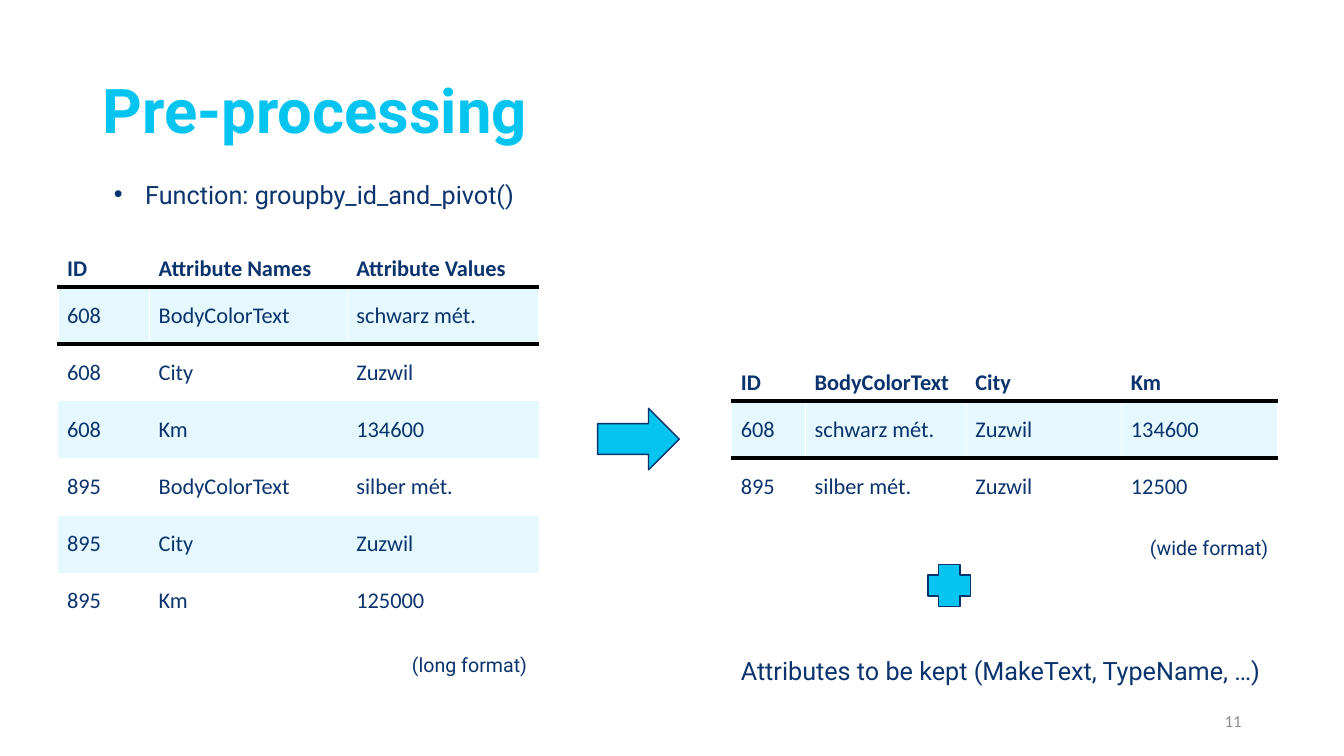
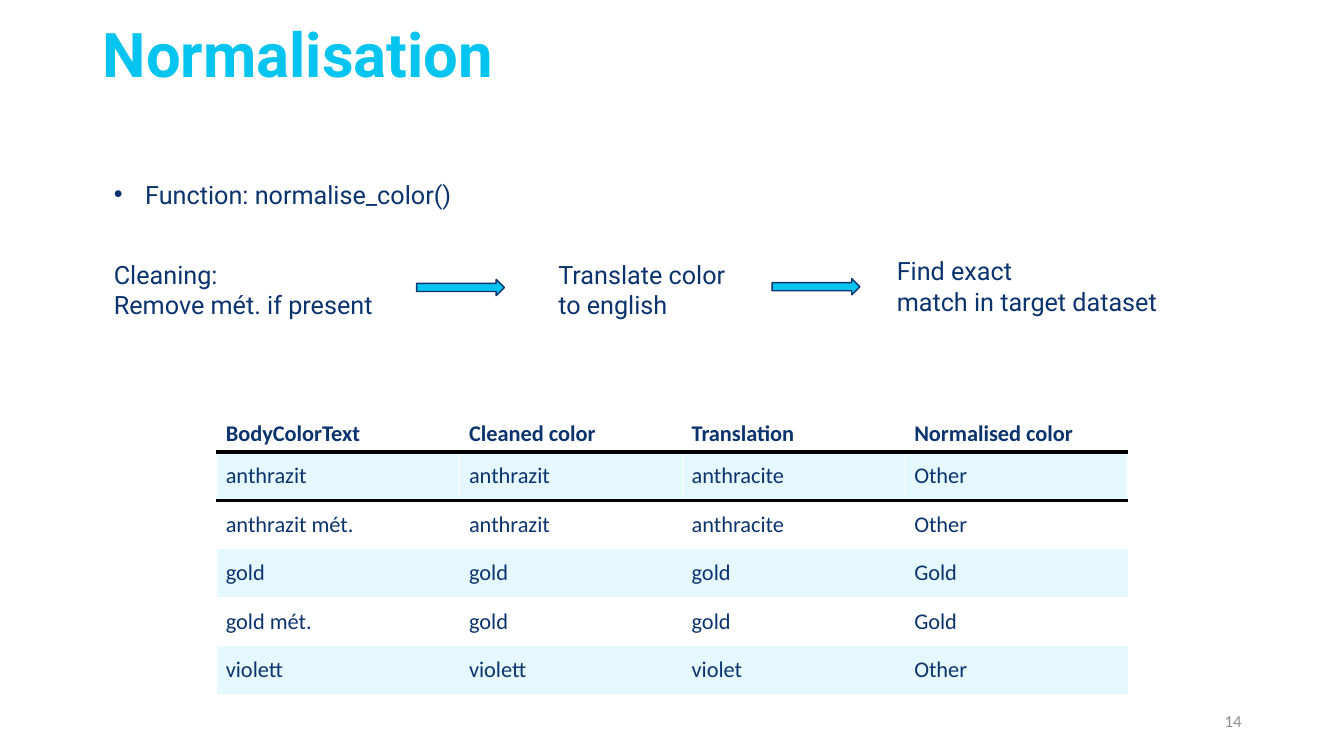
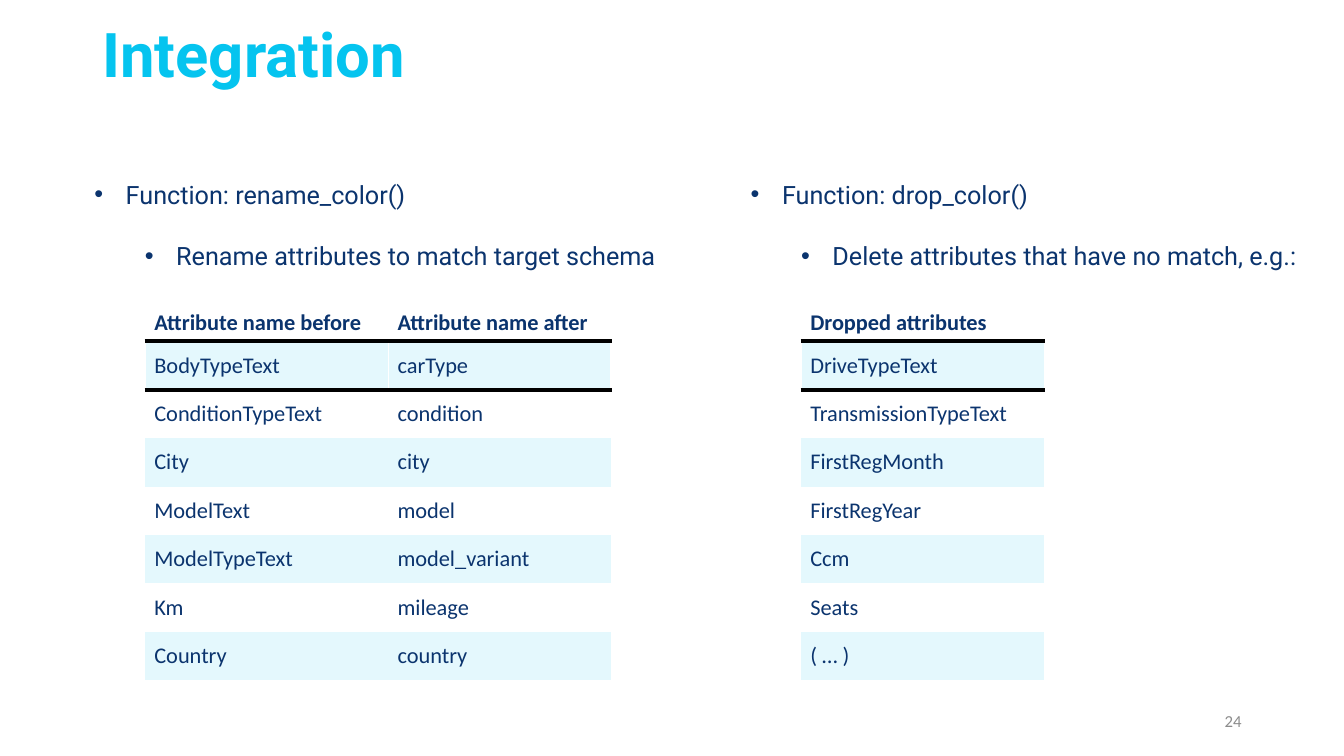
import pptx
import pptx.util
import pptx.dml.color
import pptx.enum.shapes
import pptx.enum.text
import pptx.oxml.ns
import lxml.etree

Cm = pptx.util.Cm
Pt = pptx.util.Pt
ANCHOR = pptx.enum.text.MSO_ANCHOR
ALIGN = pptx.enum.text.PP_ALIGN
AUTO_SIZE = pptx.enum.text.MSO_AUTO_SIZE
SHAPE = pptx.enum.shapes.MSO_SHAPE

CYAN, NAVY, PALE = "05C4EF", "0B346E", "E4F8FD"
WHITE, BLACK, GREY = "FFFFFF", "000000", "8C8C8C"
HEADING_FONT, TABLE_FONT = "Roboto", "Calibri"
HEADER_HEIGHT = 0.93
BULLET_INDENT = 0.79
NO_TABLE_STYLE = "{2D5ABB26-0587-4C30-8999-92F81FD0307C}"
ARROW, PLUS = SHAPE.RIGHT_ARROW, SHAPE.CROSS

SLIDES = [
    {
        "title": "Pre-processing", "title_top": 1.02, "title_anchor": ANCHOR.MIDDLE, "number": "11",
        "bullets": [(2.62, 29.21, ["Function: groupby_id_and_pivot()"])],
        "tables": [
            (1.46, 6.3, [2.31, 4.98, 4.83], 1.44, [
                ("ID", "Attribute Names", "Attribute Values"),
                ("608", "BodyColorText", "schwarz mét."),
                ("608", "City", "Zuzwil"),
                ("608", "Km", "134600"),
                ("895", "BodyColorText", "silber mét."),
                ("895", "City", "Zuzwil"),
                ("895", "Km", "125000"),
            ]),
            (18.44, 9.17, [1.86, 4.05, 3.92, 3.92], 1.44, [
                ("ID", "BodyColorText", "City", "Km"),
                ("608", "schwarz mét.", "Zuzwil", "134600"),
                ("895", "silber mét.", "Zuzwil", "12500"),
            ]),
        ],
        "labels": [
            (10.13, 16.33, 3.45, 0.86, 14, ["(long format)"]),
            (28.73, 13.39, 3.53, 0.86, 14, ["(wide format)"]),
            (18.42, 16.38, 13.74, 1.02, 18, ["Attributes to be kept (MakeText, TypeName, …)"]),
        ],
        "shapes": [(ARROW, 15.06, 10.29, 2.06, 1.55), (PLUS, 23.39, 14.22, 1.07, 1.07)],
    },
    {
        "title": "Normalisation", "title_top": 0.38, "title_anchor": ANCHOR.TOP, "number": "14",
        "bullets": [(2.62, 29.21, ["Function: normalise_color()"])],
        "tables": [
            (5.46, 10.46, [6.13, 5.61, 5.61, 5.61], 1.22, [
                ("BodyColorText", "Cleaned color", "Translation", "Normalised color"),
                ("anthrazit", "anthrazit", "anthracite", "Other"),
                ("anthrazit mét.", "anthrazit", "anthracite", "Other"),
                ("gold", "gold", "gold", "Gold"),
                ("gold mét.", "gold", "gold", "Gold"),
                ("violett", "violett", "violet", "Other"),
            ]),
        ],
        "labels": [
            (2.62, 6.4, 7.11, 1.8, 18, ["Cleaning:", "Remove mét. if present"]),
            (13.82, 6.4, 4.95, 1.8, 18, ["Translate color", "to english"]),
            (22.35, 6.32, 7.14, 1.8, 18, ["Find exact", "match in target dataset"]),
        ],
        "shapes": [(ARROW, 10.5, 7.04, 2.21, 0.41), (ARROW, 19.46, 7.02, 2.21, 0.41)],
    },
    {
        "title": "Integration", "title_top": 0.38, "title_anchor": ANCHOR.TOP, "number": "24",
        "bullets": [
            (2.13, 15.19, ["Function: rename_color()", "Rename attributes to match target schema"]),
            (18.67, 15.19, ["Function: drop_color()", "Delete attributes that have no match, e.g.:"]),
        ],
        "tables": [
            (3.66, 7.67, [6.13, 5.61], 1.22, [
                ("Attribute name before", "Attribute name after"),
                ("BodyTypeText", "carType"),
                ("ConditionTypeText", "condition"),
                ("City", "city"),
                ("ModelText", "model"),
                ("ModelTypeText", "model_variant"),
                ("Km", "mileage"),
                ("Country", "country"),
            ]),
            (20.19, 7.67, [6.13], 1.22, [
                ("Dropped attributes",),
                ("DriveTypeText",),
                ("TransmissionTypeText",),
                ("FirstRegMonth",),
                ("FirstRegYear",),
                ("Ccm",),
                ("Seats",),
                ("( … )",),
            ]),
        ],
        "labels": [],
        "shapes": [],
    },
]


def color(value):
    return pptx.dml.color.RGBColor.from_string(value)


def fill_solid(target, value):
    target.fill.solid()
    target.fill.fore_color.rgb = color(value)


def format_runs(paragraph, font_name, size, value, bold=False):
    for run in paragraph.runs:
        run.font.name = font_name
        run.font.size = Pt(size)
        run.font.bold = bold
        run.font.color.rgb = color(value)


def add_child(parent, tag, **attributes):
    return lxml.etree.SubElement(parent, pptx.oxml.ns.qn(tag), **attributes)


def add_title(slide, text, top, anchor):
    title = slide.shapes.title
    title.left, title.top, title.width, title.height = Cm(2.33), Cm(top), Cm(29.21), Cm(3.68)
    frame = title.text_frame
    frame.text = text
    frame.auto_size = AUTO_SIZE.NONE
    frame.vertical_anchor = anchor
    if anchor == ANCHOR.TOP:
        frame.margin_top = Cm(0.22)
    paragraph = frame.paragraphs[0]
    paragraph.alignment = ALIGN.LEFT
    paragraph.line_spacing = 0.9
    format_runs(paragraph, HEADING_FONT, 44, CYAN, True)


def add_text(slide, left, top, width, height, lines, size, wrap=False):
    box = slide.shapes.add_textbox(Cm(left), Cm(top), Cm(width), Cm(height))
    frame = box.text_frame
    frame.word_wrap = wrap
    frame.auto_size = AUTO_SIZE.SHAPE_TO_FIT_TEXT
    frame.text = "\n".join(lines)
    for paragraph in frame.paragraphs:
        format_runs(paragraph, HEADING_FONT, size, NAVY)
    return frame


def add_number(slide, number):
    frame = add_text(slide, 23.92, 17.66, 7.62, 1.01, [number], 12, True)
    frame.auto_size = AUTO_SIZE.NONE
    frame.vertical_anchor = ANCHOR.MIDDLE
    frame.paragraphs[0].alignment = ALIGN.RIGHT
    format_runs(frame.paragraphs[0], TABLE_FONT, 12, GREY)


def add_bullets(slide, left, width, lines):
    frame = add_text(slide, left, 4.39, width, 1.02 if len(lines) == 1 else 2.57, lines, 18, True)
    for level, paragraph in enumerate(frame.paragraphs):
        properties = paragraph._p.get_or_add_pPr()
        properties.set("marL", str(Cm(BULLET_INDENT + 1.27 * level)))
        properties.set("indent", str(-Cm(BULLET_INDENT)))
        add_child(properties, "a:buFont", typeface="Arial")
        add_child(properties, "a:buChar", char="•")
        paragraph.level = level
        if level:
            paragraph.space_before = Pt(22)


def add_border(cell, side, value, width):
    line = add_child(cell._tc.get_or_add_tcPr(), "a:ln" + side, w=str(Pt(width)))
    add_child(add_child(line, "a:solidFill"), "a:srgbClr", val=value)


def border_cell(cell, row):
    if row > 1:
        return
    add_border(cell, "L", WHITE, 1)
    add_border(cell, "R", WHITE, 1)
    if row == 0:
        add_border(cell, "T", WHITE, 1)
        add_border(cell, "B", BLACK, 3)
    else:
        add_border(cell, "T", BLACK, 3)


def add_table(slide, left, top, widths, row_height, rows):
    height = HEADER_HEIGHT + row_height * (len(rows) - 1)
    frame = slide.shapes.add_table(len(rows), len(widths), Cm(left), Cm(top), Cm(sum(widths)), Cm(height))
    table = frame.table
    table.horz_banding = False
    table._tbl.tblPr.find(pptx.oxml.ns.qn("a:tableStyleId")).text = NO_TABLE_STYLE
    for column, width in zip(table.columns, widths):
        column.width = Cm(width)
    for row, values in enumerate(rows):
        table.rows[row].height = Cm(row_height if row else HEADER_HEIGHT)
        for column, value in enumerate(values):
            cell = table.cell(row, column)
            cell.text = value
            cell.vertical_anchor = ANCHOR.MIDDLE
            cell.margin_left = cell.margin_right = Cm(0.23)
            cell.margin_top = cell.margin_bottom = Cm(0.11)
            border_cell(cell, row)
            fill_solid(cell, PALE if row % 2 else WHITE)
            format_runs(cell.text_frame.paragraphs[0], TABLE_FONT, 16, NAVY, row == 0)


def add_symbol(slide, kind, left, top, width, height):
    shape = slide.shapes.add_shape(kind, Cm(left), Cm(top), Cm(width), Cm(height))
    shape.shadow.inherit = False
    fill_solid(shape, CYAN)
    shape.line.color.rgb = color(NAVY)
    shape.line.width = Pt(1)


def main():
    presentation = pptx.Presentation()
    presentation.slide_width, presentation.slide_height = Cm(33.87), Cm(19.05)
    for content in SLIDES:
        slide = presentation.slides.add_slide(presentation.slide_layouts.get_by_name("Title Only"))
        add_title(slide, content["title"], content["title_top"], content["title_anchor"])
        add_number(slide, content["number"])
        for table in content["tables"]:
            add_table(slide, *table)
        for bullets in content["bullets"]:
            add_bullets(slide, *bullets)
        for left, top, width, height, size, lines in content["labels"]:
            add_text(slide, left, top, width, height, lines, size)
        for symbol in content["shapes"]:
            add_symbol(slide, *symbol)
    presentation.save("out.pptx")


if __name__ == "__main__":
    main()
